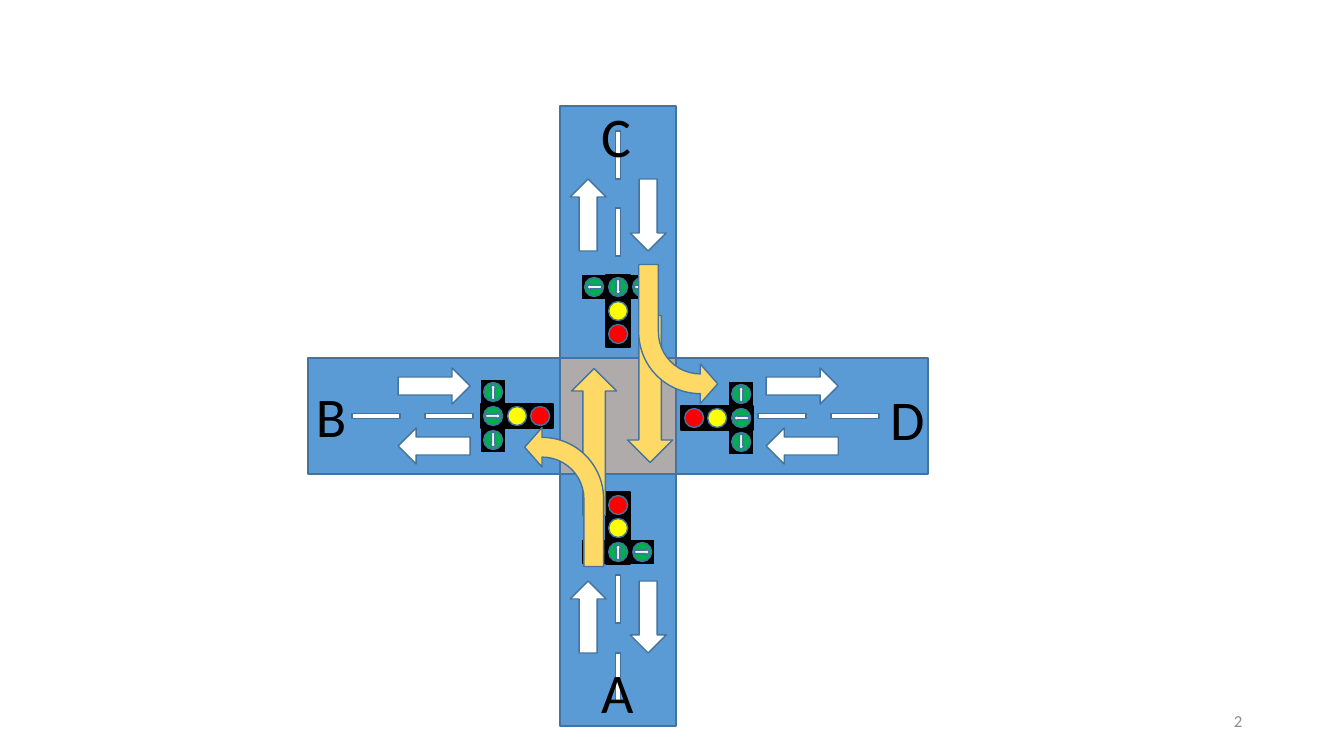
from math import cos, radians, sin

from pptx import Presentation
from pptx.dml.color import RGBColor
from pptx.enum.shapes import MSO_SHAPE
from pptx.enum.text import MSO_ANCHOR, PP_ALIGN
from pptx.util import Inches, Pt

PIXEL = Inches(1) / 100.8
ROAD = RGBColor(0x5B, 0x9B, 0xD5)
OUTLINE = RGBColor(0x43, 0x73, 0x9E)
JUNCTION = RGBColor(0xAF, 0xAB, 0xAB)
WHITE = RGBColor(0xFF, 0xFF, 0xFF)
BLACK = RGBColor(0x00, 0x00, 0x00)
GREEN = RGBColor(0x00, 0xB0, 0x50)
YELLOW = RGBColor(0xFF, 0xFF, 0x00)
RED = RGBColor(0xFF, 0x00, 0x00)
LAMP_ARROW = RGBColor(0xF2, 0xF2, 0xF2)
MOVEMENT = RGBColor(0xFF, 0xD9, 0x66)
NUMBER_GRAY = RGBColor(0x8C, 0x8C, 0x8C)

CENTER_X, CENTER_Y = 618, 416
ROAD_WIDTH, ARM_LENGTH = 116, 252
LAMP_STEP = 24


def place(shapes, kind, center, size, fill, rotation=0, line=OUTLINE):
    """Add a filled, outlined shape around its center, in pixels."""
    (x, y), (width, height) = center, size
    shape = shapes.add_shape(
        kind, round((x - width / 2) * PIXEL), round((y - height / 2) * PIXEL),
        round(width * PIXEL), round(height * PIXEL))
    shape.rotation = rotation % 360
    shape.shadow.inherit = False
    shape.fill.solid()
    shape.fill.fore_color.rgb = fill
    shape.line.color.rgb = line
    shape.line.width = Pt(1)
    return shape


def write(slide, text, box, size, color, alignment, anchor):
    """Add a one-run text box, given as left, top, width, height in pixels."""
    text_box = slide.shapes.add_textbox(*(round(length * PIXEL) for length in box))
    frame = text_box.text_frame
    frame.word_wrap = True
    frame.vertical_anchor = anchor
    paragraph = frame.paragraphs[0]
    paragraph.alignment = alignment
    run = paragraph.add_run()
    run.text = text
    run.font.name = "Calibri"
    run.font.size = Pt(size)
    run.font.color.rgb = color


presentation = Presentation()
presentation.slide_width = Inches(13.33)
presentation.slide_height = Inches(7.5)
slide = presentation.slides.add_slide(presentation.slide_layouts[6])

# Crossroads: each arm is laid out outward from the center
crossroads = slide.shapes.add_group_shape().shapes
place(crossroads, MSO_SHAPE.RECTANGLE, (CENTER_X, CENTER_Y),
      (ROAD_WIDTH, ROAD_WIDTH), JUNCTION)

# Outward angle, lane dash distances, lane arrow distance,
# green lamp distance, sideways shift of the signal
arms = [
    (180, (169, 242), 184, 125, 0),
    (0, (164, 237), 184, 123, 2),
    (90, (183, 261), 201, 136, 0),
    (270, (184, 261), 201, 129, 0),
]
for angle, dashes, lane_arrow, green_lamp, shift in arms:
    # Shape, distance outward, offset to the right, size, fill, turn, line
    parts = [(MSO_SHAPE.RECTANGLE, (ROAD_WIDTH + ARM_LENGTH) / 2, 0,
              (ARM_LENGTH, ROAD_WIDTH), ROAD, 0, OUTLINE)]
    for dash in dashes:
        parts.append((MSO_SHAPE.RECTANGLE, dash, 0, (48, 5), WHITE, 0, OUTLINE))
    for offset, turn in ((-30, 0), (30, 180)):
        parts.append((MSO_SHAPE.RIGHT_ARROW, lane_arrow, offset, (72, 36),
                      WHITE, turn, OUTLINE))

    # T-shaped signal: a stem with three lamps and a green lamp on each side
    parts.append((MSO_SHAPE.RECTANGLE, green_lamp - LAMP_STEP, shift, (72, 24),
                  BLACK, 0, BLACK))
    for side, turn in ((-1, -90), (0, 180), (1, 90)):
        offset = shift + side * LAMP_STEP
        if side:
            parts.append((MSO_SHAPE.RECTANGLE, green_lamp, offset, (23, 23),
                          BLACK, 0, BLACK))
        parts.append((MSO_SHAPE.OVAL, green_lamp, offset, (19, 19),
                      GREEN, 0, OUTLINE))
        parts.append((MSO_SHAPE.RIGHT_ARROW, green_lamp, offset, (15, 7),
                      LAMP_ARROW, turn, OUTLINE))
    for distance, color in ((24, YELLOW), (47, RED)):
        parts.append((MSO_SHAPE.OVAL, green_lamp - distance, shift, (19, 19),
                      color, 0, OUTLINE))

    outward_x, outward_y = cos(radians(angle)), sin(radians(angle))
    for kind, distance, offset, size, fill, turn, line in parts:
        center = (CENTER_X + distance * outward_x - offset * outward_y,
                  CENTER_Y + distance * outward_y + offset * outward_x)
        place(crossroads, kind, center, size, fill, angle + turn, line)

for name, left, top in (("A", 591, 653), ("C", 591, 97),
                        ("D", 880, 380), ("B", 306, 377)):
    write(slide, name, (left, top, 47, 78), 40, BLACK,
          PP_ALIGN.LEFT, MSO_ANCHOR.TOP)

# Permitted movements: straight on and turning left, from C and from A
movements = slide.shapes.add_group_shape().shapes
for straight_center, straight_turn, left_center, left_turn in (
        ((650, 389), 0, (678, 334), 180),
        ((594, 442), 180, (564, 497), 0)):
    place(movements, MSO_SHAPE.DOWN_ARROW, straight_center, (45, 147),
          MOVEMENT, straight_turn)
    left_arrow = place(movements, MSO_SHAPE.BENT_ARROW, left_center, (79, 139),
                       MOVEMENT, left_turn)
    left_arrow.element.spPr.get_or_add_xfrm().set("flipH", "1")
    for index, value in enumerate((0.25, 0.25, 0.22, 0.78)):
        left_arrow.adjustments[index] = value

write(slide, "2", (950, 701, 302, 40), 12, NUMBER_GRAY,
      PP_ALIGN.RIGHT, MSO_ANCHOR.MIDDLE)

presentation.save("out.pptx")
